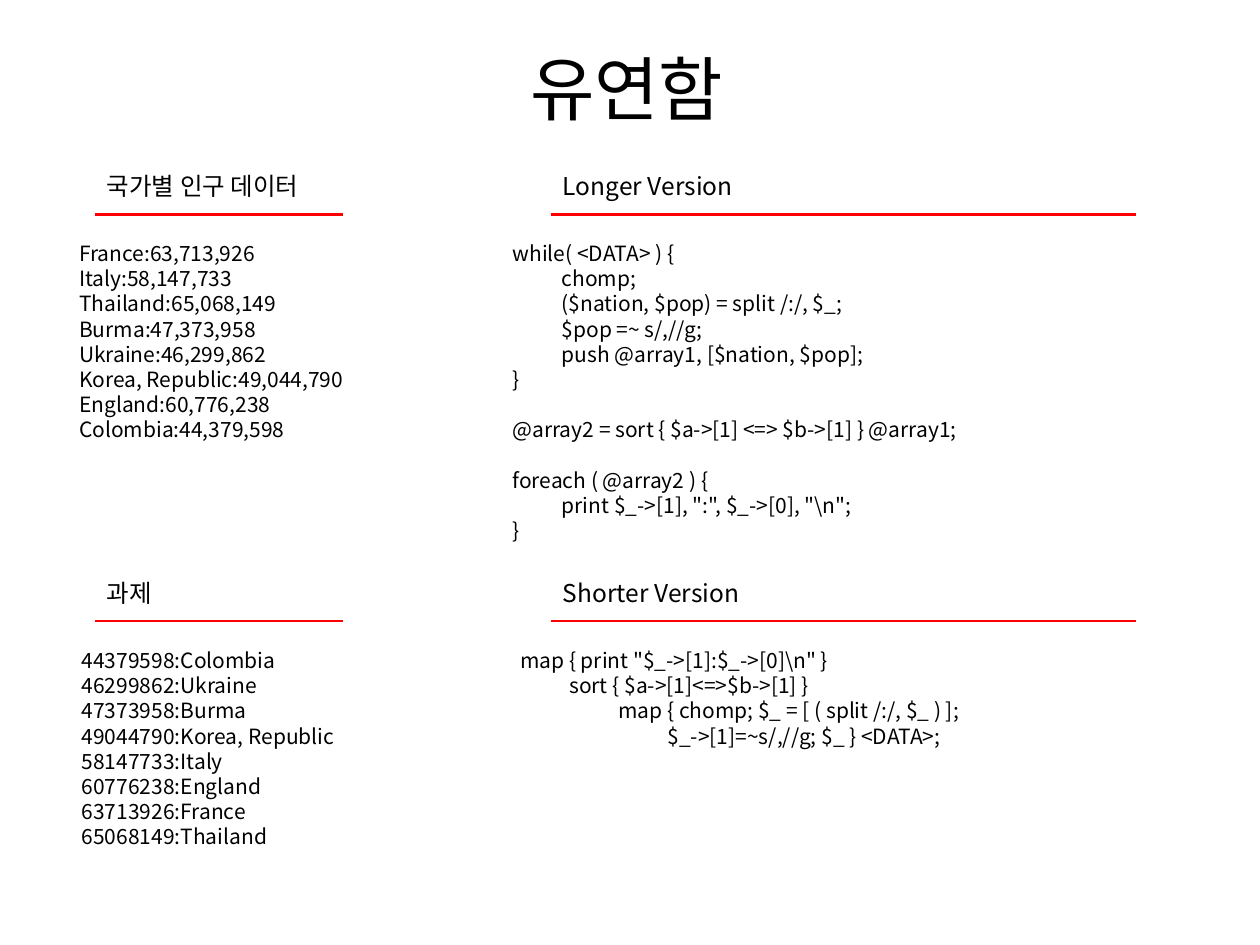
from dataclasses import dataclass

from lxml import etree
from pptx import Presentation
from pptx.dml.color import RGBColor
from pptx.enum.shapes import MSO_CONNECTOR as CONN
from pptx.enum.text import MSO_ANCHOR as ANCHOR, MSO_AUTO_SIZE as AUTO, PP_ALIGN as ALIGN
from pptx.oxml.ns import qn
from pptx.util import Inches, Pt


@dataclass(frozen=True)
class Theme:
    font: str = "Noto Sans CJK KR"
    ink: RGBColor = RGBColor(0x00, 0x00, 0x00)
    rule: RGBColor = RGBColor(0xFF, 0x00, 0x00)
    title: int = 40
    heading: int = 14
    body: int = 12
    leading: float = 1.2
    rule_width: float = 1.5
    tab: float = 0.39


theme = Theme()


def write(sp, text, size=theme.body, align=ALIGN.LEFT):
    """Write text line by line; an empty line becomes space before the next one."""
    tf = sp.text_frame
    tf.word_wrap = True
    tf.auto_size = AUTO.NONE
    tf.vertical_anchor = ANCHOR.TOP
    pitch = Pt(size * theme.leading)
    p, gap = None, 0
    for line in text.splitlines():
        if not line:
            gap += pitch
            continue
        p = tf.add_paragraph() if p is not None else tf.paragraphs[0]
        p.alignment = align
        p.line_spacing = pitch
        p.space_before, gap = gap, 0
        # Tab stops for indented code
        depth = len(line) - len(line.lstrip("\t"))
        if depth:
            tabs = etree.SubElement(p._p.get_or_add_pPr(), qn("a:tabLst"))
            for n in range(1, depth + 1):
                etree.SubElement(tabs, qn("a:tab"), pos=str(Inches(n * theme.tab)), algn="l")
        r = p.add_run()
        r.text = line
        r.font.size = Pt(size)
        r.font.name = theme.font
        r.font.color.rgb = theme.ink
        etree.SubElement(r.font._element, qn("a:ea"), typeface=theme.font)


nations = """France:63,713,926
Italy:58,147,733
Thailand:65,068,149
Burma:47,373,958
Ukraine:46,299,862
Korea, Republic:49,044,790
England:60,776,238
Colombia:44,379,598"""

sorted_nations = """44379598:Colombia
46299862:Ukraine
47373958:Burma
49044790:Korea, Republic
58147733:Italy
60776238:England
63713926:France
65068149:Thailand"""

longer_code = r"""while( <DATA> ) {
	chomp;
	($nation, $pop) = split /:/, $_;
	$pop =~ s/,//g;
	push @array1, [$nation, $pop];
}

@array2 = sort { $a->[1] <=> $b->[1] } @array1;

foreach ( @array2 ) {
	print $_->[1], ":", $_->[0], "\n";
}"""

shorter_code = r"""map { print "$_->[1]:$_->[0]\n" }
	sort { $a->[1]<=>$b->[1] }
		map { chomp; $_ = [ ( split /:/, $_ ) ];
			$_->[1]=~s/,//g; $_ } <DATA>;"""

prs = Presentation()
prs.slide_width, prs.slide_height = Inches(10), Inches(7.5)
slide = prs.slides.add_slide(prs.slide_layouts[5])

# Title
title = slide.shapes.title
title.left, title.top = Inches(4.07), Inches(0.31)
title.width, title.height = Inches(1.81), Inches(0.77)
write(title, "유연함", size=theme.title, align=ALIGN.CENTER)

# Two columns by two rows: heading, red rule, body
left_col, right_col = (0.75, 2.72), (4.37, 9.02)
top_row, bottom_row = 1.31, 4.54
sections = [
    # heading, column, row, body left, body width, body height, body
    ("국가별 인구 데이터", left_col, top_row, 0.53, 2.81, 1.7, nations),
    ("과제", left_col, bottom_row, 0.55, 2.61, 1.7, sorted_nations),
    ("Longer Version", right_col, top_row, 3.97, 4.92, 2.5, longer_code),
    ("Shorter Version", right_col, bottom_row, 4.03, 4.99, 0.9, shorter_code),
]
for heading, (x1, x2), top, body_x, body_w, body_h, body in sections:
    box = slide.shapes.add_textbox(Inches(x1), Inches(top), Inches(2.2), Inches(0.34))
    write(box, heading, size=theme.heading)

    y = Inches(top + 0.39)
    rule = slide.shapes.add_connector(CONN.STRAIGHT, Inches(x1), y, Inches(x2), y)
    rule.line.color.rgb = theme.rule
    rule.line.width = Pt(theme.rule_width)
    etree.SubElement(rule._element.spPr, qn("a:effectLst"))

    box = slide.shapes.add_textbox(Inches(body_x), Inches(top + 0.55), Inches(body_w), Inches(body_h))
    write(box, body)

prs.save("out.pptx")
